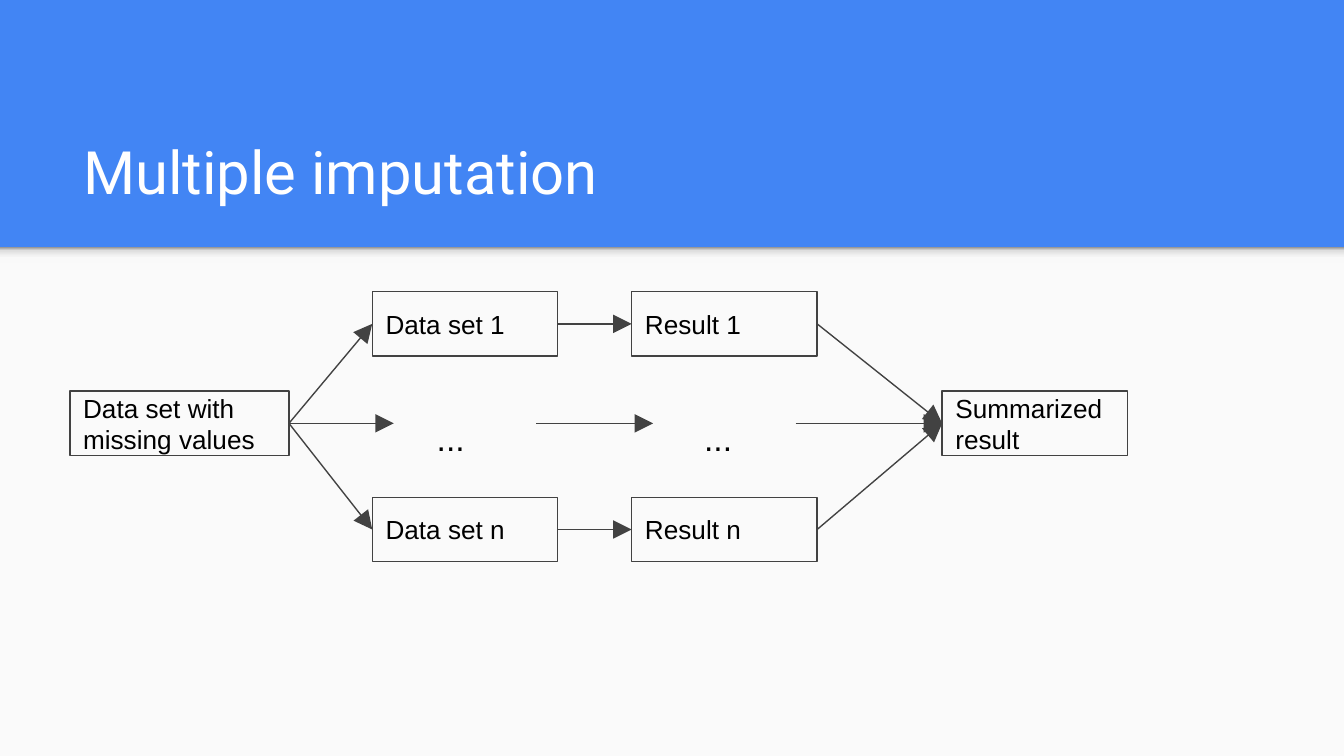
from copy import deepcopy

from lxml.etree import SubElement
from pptx import Presentation
from pptx.dml.color import RGBColor
from pptx.enum.shapes import MSO_CONNECTOR, MSO_SHAPE
from pptx.enum.text import MSO_ANCHOR, PP_ALIGN
from pptx.oxml.ns import qn
from pptx.util import Inches, Pt

BLUE = RGBColor(0x42, 0x85, 0xF4)
PAPER = RGBColor(0xFA, 0xFA, 0xFA)
GRAY = RGBColor(0x42, 0x42, 0x42)
BLACK = RGBColor(0, 0, 0)
WHITE = RGBColor(0xFF, 0xFF, 0xFF)
SHADOW_STOPS = [
    (0, RGBColor(0xF9, 0xF9, 0xF9)),
    (0.36, RGBColor(0xF9, 0xF9, 0xF9)),
    (0.8, RGBColor(0xDE, 0xDE, 0xDE)),
    (1, RGBColor(0x99, 0x99, 0x99)),
]

WIDTH = 10
HEIGHT = WIDTH * 9 / 16
HEADER_HEIGHT = 1.84
BOX_WIDTH, BOX_HEIGHT = 1.38, 0.48
DOTS_WIDTH, DOTS_HEIGHT = 1.06, 0.28
TOP, MIDDLE, BOTTOM = 2.41, 3.15, 3.94  # row centres
RIGHT_SIDE, LEFT_SIDE = 3, 1

# name: (text, left, row centre, width)
BOXES = {
    "data 1": ("Data set 1", 2.77, TOP, BOX_WIDTH),
    "data n": ("Data set n", 2.77, BOTTOM, BOX_WIDTH),
    "result 1": ("Result 1", 4.7, TOP, BOX_WIDTH),
    "result n": ("Result n", 4.7, BOTTOM, BOX_WIDTH),
    "summary": ("Summarized result", 7.01, MIDDLE, BOX_WIDTH),
    "source": ("Data set with missing values", 0.52, MIDDLE, 1.63),
}
# name: (left, left inset)
DOTS = {"data dots": (2.93, 0.32), "result dots": (4.86, 0.38)}
CHAINS = [
    ("source", "data 1", "result 1", "summary"),
    ("source", "data dots", "result dots", "summary"),
    ("source", "data n", "result n", "summary"),
]


def write(shape, text, size, color, font="Arial", anchor=MSO_ANCHOR.MIDDLE, inset=0.1):
    frame = shape.text_frame
    frame.word_wrap = True
    frame.vertical_anchor = anchor
    frame.margin_left = Inches(inset)
    frame.margin_right = frame.margin_top = frame.margin_bottom = Inches(0.1)
    paragraph = frame.paragraphs[0]
    paragraph.alignment = PP_ALIGN.LEFT
    run = paragraph.add_run()
    run.text = text
    run.font.size = Pt(size)
    run.font.name = font
    run.font.color.rgb = color


def add_rectangle(slide, left, top, width, height):
    shape = slide.shapes.add_shape(
        MSO_SHAPE.RECTANGLE, Inches(left), Inches(top), Inches(width), Inches(height)
    )
    shape.shadow.inherit = False
    return shape


def add_textbox(slide, left, top, width, height):
    return slide.shapes.add_textbox(
        Inches(left), Inches(top), Inches(width), Inches(height)
    )


def add_background(slide):
    slide.background.fill.solid()
    slide.background.fill.fore_color.rgb = BLUE

    body = add_rectangle(slide, 0, HEADER_HEIGHT, WIDTH, HEIGHT - HEADER_HEIGHT)
    body.fill.solid()
    body.fill.fore_color.rgb = PAPER
    body.line.fill.background()

    shadow = add_rectangle(slide, 0, HEADER_HEIGHT, WIDTH, 0.12)
    shadow.line.fill.background()
    shadow.fill.gradient()
    shadow.fill.gradient_angle = 90
    stop_list = shadow._element.spPr.find(".//" + qn("a:gsLst"))
    while len(stop_list) < len(SHADOW_STOPS):
        stop_list.append(deepcopy(stop_list[-1]))
    for stop, (position, color) in zip(shadow.fill.gradient_stops, SHADOW_STOPS):
        stop.position = position
        stop.color.rgb = color


def add_arrow(slide, start, end):
    arrow = slide.shapes.add_connector(MSO_CONNECTOR.STRAIGHT, 0, 0, 0, 0)
    arrow.begin_connect(start, RIGHT_SIDE)
    arrow.end_connect(end, LEFT_SIDE)
    arrow.line.color.rgb = GRAY
    arrow.line.width = Pt(0.75)
    line = arrow.line._get_or_add_ln()
    SubElement(line, qn("a:tailEnd"), type="triangle", w="lg", len="lg")
    SubElement(arrow._element.spPr, qn("a:effectLst"))


def main():
    presentation = Presentation()
    presentation.slide_width = Inches(WIDTH)
    presentation.slide_height = Inches(HEIGHT)
    slide = presentation.slides.add_slide(presentation.slide_layouts[6])
    add_background(slide)

    title = add_textbox(slide, 0.52, 0.8, 8.99, 0.84)
    write(title, "Multiple imputation", 32, WHITE, "Roboto", MSO_ANCHOR.BOTTOM)

    nodes = {}
    for name, (text, left, center, width) in BOXES.items():
        box = add_rectangle(slide, left, center - BOX_HEIGHT / 2, width, BOX_HEIGHT)
        box.fill.background()
        box.line.color.rgb = GRAY
        box.line.width = Pt(0.75)
        write(box, text, 14, BLACK)
        nodes[name] = box
    for name, (left, inset) in DOTS.items():
        dots = add_textbox(slide, left, MIDDLE - DOTS_HEIGHT / 2, DOTS_WIDTH, DOTS_HEIGHT)
        write(dots, "...", 18, BLACK, anchor=MSO_ANCHOR.TOP, inset=inset)
        nodes[name] = dots

    for chain in CHAINS:
        for start, end in zip(chain, chain[1:]):
            add_arrow(slide, nodes[start], nodes[end])

    presentation.save("out.pptx")


if __name__ == "__main__":
    main()
